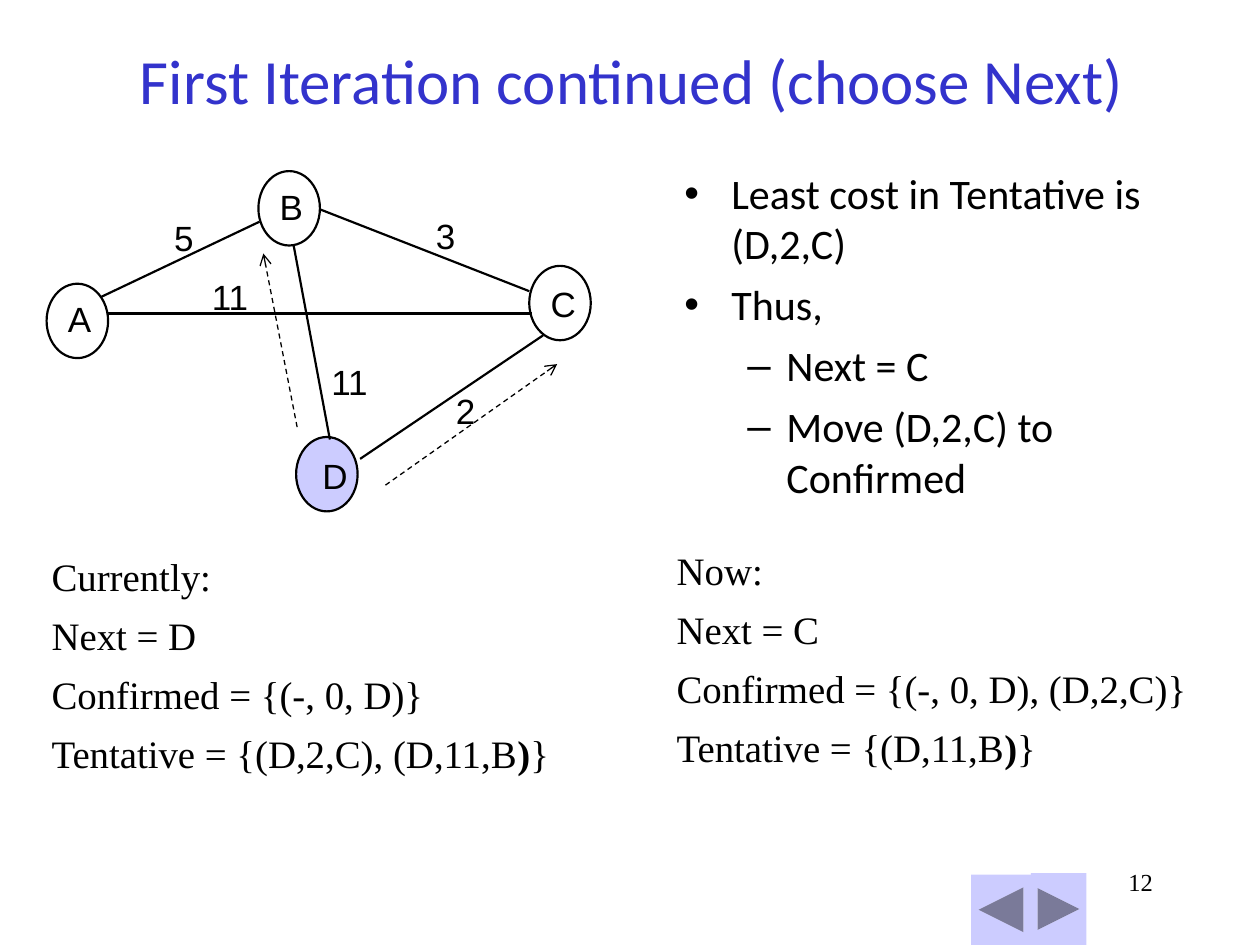
from lxml.etree import SubElement
from pptx import Presentation
from pptx.dml.color import RGBColor
from pptx.enum.dml import MSO_LINE
from pptx.enum.shapes import MSO_CONNECTOR, MSO_SHAPE
from pptx.enum.text import MSO_ANCHOR, MSO_AUTO_SIZE, PP_ALIGN
from pptx.oxml.ns import qn
from pptx.util import Cm, Pt

INK, BLUE, LILAC = "000000", "3333CC", "CCCCFF"


def rgb(value):
    return RGBColor.from_string(value)


def style(paragraph, font, size, color=INK):
    for run in paragraph.runs:
        run.font.name = font
        run.font.size = Pt(size)
        run.font.color.rgb = rgb(color)


deck = Presentation()
deck.slide_width, deck.slide_height = Cm(25.4), Cm(19.05)
slide = deck.slides.add_slide(deck.slide_layouts[1])
shapes = slide.shapes

title = shapes.title
title.left, title.top, title.width, title.height = Cm(1.93), Cm(0), Cm(21.6), Cm(3.18)
title.text_frame.text = "First Iteration continued (choose Next)"
title.text_frame.vertical_anchor = MSO_ANCHOR.MIDDLE
title.text_frame.paragraphs[0].alignment = PP_ALIGN.CENTER
style(title.text_frame.paragraphs[0], "Calibri", 36, BLUE)

conclusions = slide.placeholders[1]
conclusions.left, conclusions.top = Cm(13.54), Cm(3.25)
conclusions.width, conclusions.height = Cm(11.4), Cm(7.11)
conclusions.text_frame.text = "\n".join(
    ["Least cost in Tentative is (D,2,C)", "Thus,", "Next = C", "Move (D,2,C) to Confirmed"])
bullets = [("•", 0.95, -0.95), ("–", 2.06, -0.79)]
for paragraph, level in zip(conclusions.text_frame.paragraphs, [0, 0, 1, 1]):
    mark, margin, indent = bullets[level]
    paragraph.level = level
    paragraph.space_before = Pt(6)
    style(paragraph, "Calibri", 24)
    props = paragraph._p.get_or_add_pPr()
    props.set("marL", str(Cm(margin)))
    props.set("indent", str(Cm(indent)))
    SubElement(props, qn("a:buChar"), char=mark)

buttons = [
    (MSO_SHAPE.ACTION_BUTTON_BACK_OR_PREVIOUS, 19.58, 17.63, 1.2),
    (MSO_SHAPE.ACTION_BUTTON_FORWARD_OR_NEXT, 20.78, 17.6, 1.12),
]
for preset, left, top, width in buttons:
    button = shapes.add_shape(preset, Cm(left), Cm(top), Cm(width), Cm(19.05 - top))
    button.shadow.inherit = False
    button.fill.solid()
    button.fill.fore_color.rgb = rgb(LILAC)
    button.line.fill.background()

page = shapes.add_textbox(Cm(18.21), Cm(17.35), Cm(5.28), Cm(1.27)).text_frame
page.word_wrap = True
page.text = "12"
page.paragraphs[0].alignment = PP_ALIGN.RIGHT
style(page.paragraphs[0], "Times New Roman", 14)

nodes = [
    (0.94, 5.72, None),
    (5.21, 3.45, None),
    (10.67, 5.36, None),
    (5.97, 8.81, LILAC),
]
for left, top, color in nodes:
    node = shapes.add_shape(MSO_SHAPE.OVAL, Cm(left), Cm(top), Cm(1.24), Cm(1.5))
    node.shadow.inherit = False
    if color:
        node.fill.solid()
        node.fill.fore_color.rgb = rgb(color)
    else:
        node.fill.background()
    node.line.color.rgb = rgb(INK)
    node.line.width = Pt(1.25)

edges = [
    (2.03, 5.99, 5.23, 4.47),
    (6.45, 4.22, 10.67, 5.87),
    (2.16, 6.32, 10.72, 6.32),
    (5.92, 4.95, 6.65, 8.86),
    (10.95, 6.76, 7.26, 9.25),
]
routes = [(7.77, 9.78, 11.23, 7.34), (5.99, 8.61, 5.31, 5.11)]
for ends in edges + routes:
    link = shapes.add_connector(MSO_CONNECTOR.STRAIGHT, *map(Cm, ends))
    link.line.color.rgb = rgb(INK)
    link.line.width = Pt(1.25)
    if ends in routes:
        link.line.width = Pt(0.75)
        link.line.dash_style = MSO_LINE.DASH
        SubElement(link.line._get_or_add_ln(), qn("a:tailEnd"), type="arrow")
    SubElement(link._element.spPr, qn("a:effectLst"))

labels = [
    ("A", 1.37, 5.99, 0.48), ("B", 5.64, 3.73, 0.48),
    ("C", 11.1, 5.69, 0.51), ("D", 6.5, 9.17, 0.51),
    ("5", 3.51, 4.37, 0.4), ("3", 8.79, 4.32, 0.4), ("2", 9.19, 7.85, 0.4),
    ("11", 6.68, 7.26, 0.79), ("11", 4.27, 5.56, 0.79),
]
for text, left, top, width in labels:
    label = shapes.add_textbox(Cm(left), Cm(top), Cm(width), Cm(0.84)).text_frame
    label.margin_left = label.margin_right = label.margin_top = label.margin_bottom = 0
    label.word_wrap = False
    label.auto_size = MSO_AUTO_SIZE.SHAPE_TO_FIT_TEXT
    label.text = text
    style(label.paragraphs[0], "Arial", 20)

states = [
    (0.79, 11.02, ["Currently:", "Next = D", "Confirmed = {(-, 0, D)}",
                   "Tentative = {(D,2,C), (D,11,B"]),
    (13.39, 10.9, ["Now:", "Next = C", "Confirmed = {(-, 0, D), (D,2,C)}",
                   "Tentative = {(D,11,B"]),
]
for left, top, lines in states:
    state = shapes.add_textbox(Cm(left), Cm(top), Cm(11.68), Cm(4.85)).text_frame
    state.word_wrap = True
    state.text = "\n".join(lines)
    tentative = state.paragraphs[-1]
    for closing, bold in [(")", True), ("}", False)]:
        run = tentative.add_run()
        run.text = closing
        run.font.bold = bold
    for paragraph in state.paragraphs:
        paragraph.space_before = Pt(7)
        style(paragraph, "Times New Roman", 22.2)
        props = paragraph._p.get_or_add_pPr()
        props.set("marL", str(Cm(0.95)))
        props.set("indent", str(Cm(-0.95)))

deck.save("out.pptx")
